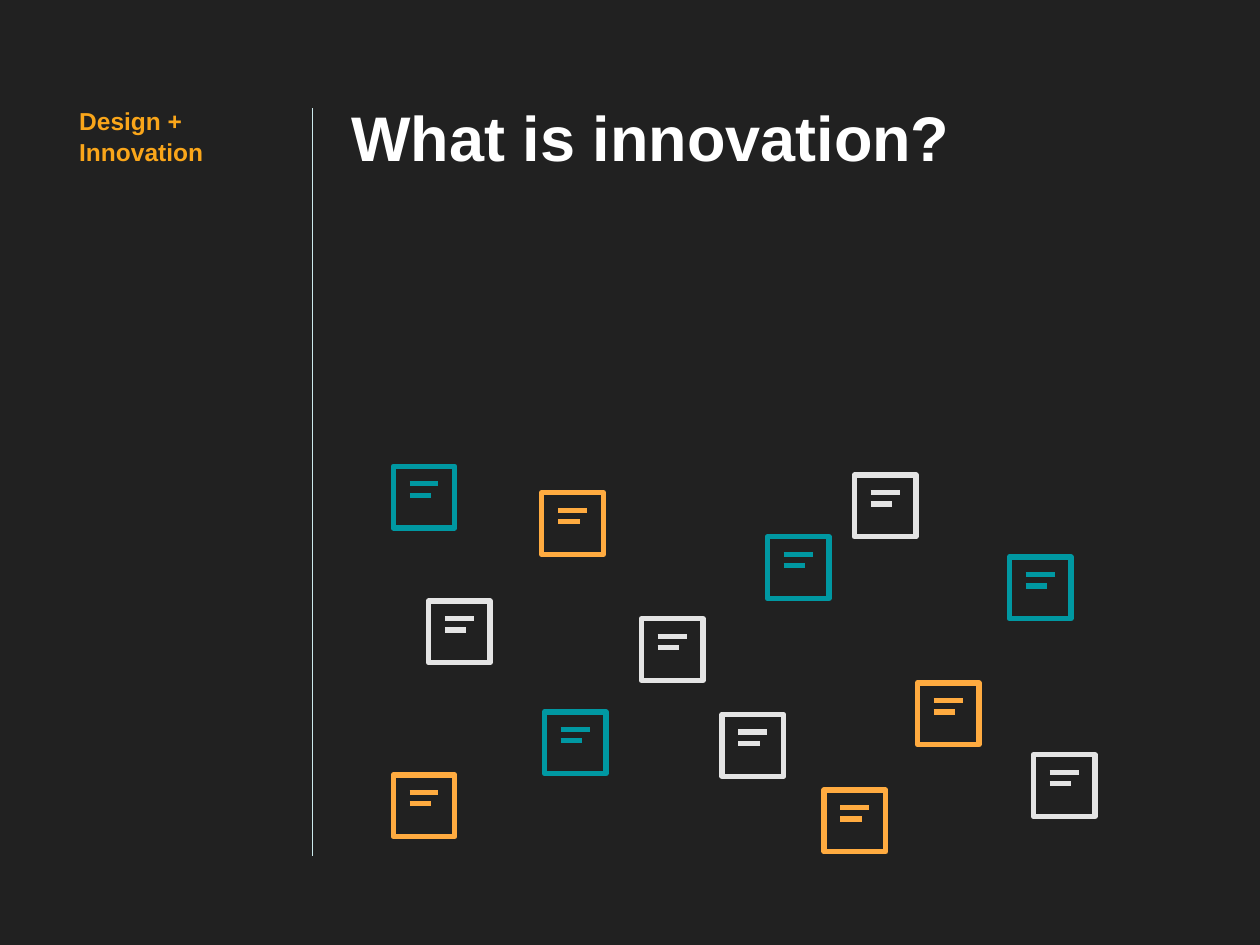
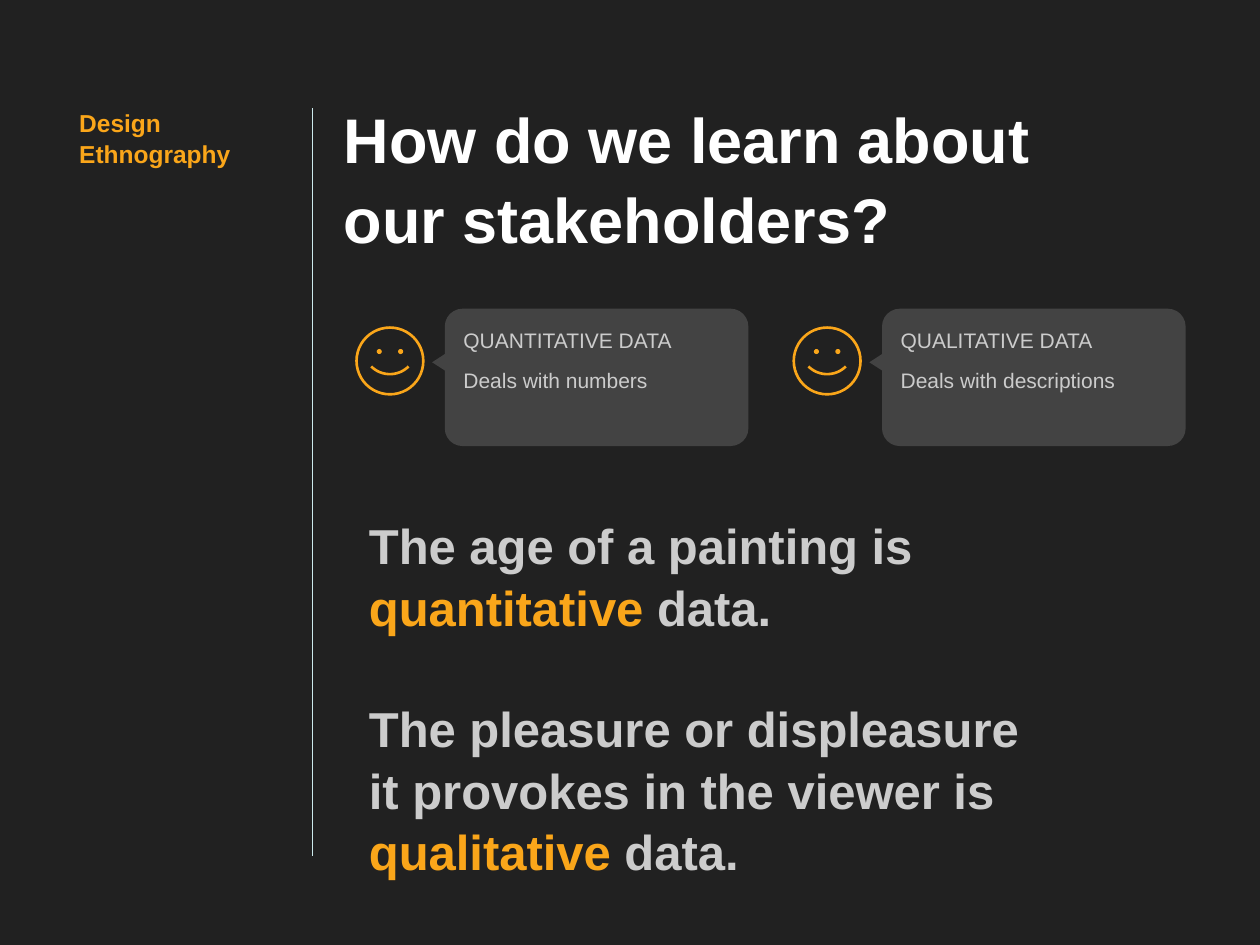
from math import cos, radians, sin

from lxml import etree
from pptx import Presentation
from pptx.dml.color import RGBColor
from pptx.enum.shapes import MSO_CONNECTOR, MSO_SHAPE
from pptx.enum.text import MSO_ANCHOR, MSO_AUTO_SIZE, PP_ALIGN
from pptx.oxml.ns import qn
from pptx.util import Inches, Pt

FONT = "Arial"
COLORS = {
    "background": "212121",
    "rule": "CCEAEC",
    "title": "FFFFFF",
    "accent": "FAA61A",
    "body": "CCCCCC",
    "bubble": "434343",
    "gray": "E4E4E4",
    "teal": "0098A2",
    "orange": "FFAB40",
}


def write_text(frame, paragraphs, size, bold=True, spacing=1.05, gap=0):
    """Fill a frame; each paragraph is a list of (text, color name) runs."""
    frame.word_wrap = True
    frame.auto_size = MSO_AUTO_SIZE.NONE
    frame.vertical_anchor = MSO_ANCHOR.TOP
    frame.margin_left = frame.margin_right = Inches(0.1)
    frame.margin_top = frame.margin_bottom = Inches(0.1)
    for index, runs in enumerate(paragraphs):
        paragraph = frame.add_paragraph() if index else frame.paragraphs[0]
        paragraph.alignment = PP_ALIGN.LEFT
        paragraph.line_spacing = spacing
        paragraph.space_before = Pt(gap if index else 0)
        for text, color in runs:
            for number, line in enumerate(text.split("\n")):
                if number:
                    paragraph.add_line_break()
                run = paragraph.add_run()
                run.text = line
                run.font.name = FONT
                run.font.size = Pt(size)
                run.font.bold = bold
                run.font.color.rgb = RGBColor.from_string(COLORS[color])


def add_line(shapes, x1, y1, x2, y2, color, width):
    line = shapes.add_connector(
        MSO_CONNECTOR.STRAIGHT, Inches(x1), Inches(y1), Inches(x2), Inches(y2))
    line.line.color.rgb = RGBColor.from_string(COLORS[color])
    line.line.width = Pt(width)
    etree.SubElement(line._element.spPr, qn("a:effectLst"))


prs = Presentation()
prs.slide_width, prs.slide_height = Inches(10), Inches(7.5)
backdrop = prs.slide_master.background.fill
backdrop.solid()
backdrop.fore_color.rgb = RGBColor.from_string(COLORS["background"])

# Shared frame: title, section label and vertical rule
pages = [
    ("What is innovation?", (2.69, 0.65, 6.97, 0.83),
     "Design + Innovation", 0.73),
    ("How do we learn about our stakeholders?", (2.63, 0.67, 6.17, 1.47),
     "Design\nEthnography", 0.75),
]
slides = []
for heading, heading_box, section, section_top in pages:
    slide = prs.slides.add_slide(prs.slide_layouts[5])
    title = slide.shapes.title
    title.left, title.top, title.width, title.height = map(Inches, heading_box)
    write_text(title.text_frame, [[(heading, "title")]], 36)
    label = slide.shapes.add_textbox(
        Inches(0.53), Inches(section_top), Inches(1.79), Inches(0.67))
    write_text(label.text_frame, [[(section, "accent")]], 14)
    add_line(slide.shapes, 2.48, 0.86, 2.48, 6.79, "rule", 0.75)
    slides.append(slide)
innovation, ethnography = slides

# Slide 1: scattered sticky notes, each with two lines of writing
notes = {
    "gray": [(3.4, 4.77), (6.78, 3.77), (5.73, 5.67), (8.2, 5.99), (5.09, 4.91)],
    "teal": [(8.01, 4.42), (6.09, 4.26), (4.32, 5.65), (3.12, 3.7)],
    "orange": [(7.28, 5.42), (6.54, 6.27), (3.12, 6.15), (4.3, 3.91)],
}
for color, corners in notes.items():
    for x, y in corners:
        note = innovation.shapes.add_group_shape().shapes
        border = note.add_shape(
            MSO_SHAPE.RECTANGLE, Inches(x), Inches(y), Inches(0.49), Inches(0.49))
        border.shadow.inherit = False
        border.fill.background()
        border.line.color.rgb = RGBColor.from_string(COLORS[color])
        border.line.width = Pt(3)
        for drop, length in [(0.14, 0.23), (0.23, 0.17)]:
            add_line(note, x + 0.13, y + drop, x + 0.13 + length, y + drop, color, 3)

# Slide 2: two smiling speakers with speech bubbles
speakers = [
    (2.83, "QUANTITATIVE DATA", "Deals with numbers"),
    (6.3, "QUALITATIVE DATA", "Deals with descriptions"),
]
# preset, offset from the speaker's left edge, top, width, height, fill, outline
speaker_parts = [
    (MSO_SHAPE.ISOSCELES_TRIANGLE, 0.56, 2.74, 0.35, 0.27, "bubble", None),
    (MSO_SHAPE.ROUNDED_RECTANGLE, 0.7, 2.45, 2.41, 1.09, "bubble", None),
    (MSO_SHAPE.OVAL, 0, 2.6, 0.53, 0.53, None, "accent"),
    (MSO_SHAPE.OVAL, 0.16, 2.77, 0.04, 0.04, "accent", None),
    (MSO_SHAPE.OVAL, 0.33, 2.77, 0.04, 0.04, "accent", None),
]
for left, term, meaning in speakers:
    speaker = ethnography.shapes.add_group_shape().shapes
    drawn = []
    for preset, dx, top, width, height, fill, outline in speaker_parts:
        part = speaker.add_shape(
            preset, Inches(left + dx), Inches(top), Inches(width), Inches(height))
        if preset == MSO_SHAPE.ISOSCELES_TRIANGLE:
            part.rotation = 270
        elif preset == MSO_SHAPE.ROUNDED_RECTANGLE:
            part.adjustments[0] = 0.129
        drawn.append((part, fill, outline))

    arc = [(Inches(left + 0.265 + 0.21 * cos(radians(angle))),
            Inches(2.76 + 0.21 * sin(radians(angle))))
           for angle in range(45, 136, 5)]
    smile = speaker.build_freeform(*arc[0])
    smile.add_line_segments(arc[1:], close=False)
    drawn.append((smile.convert_to_shape(), None, "accent"))

    for part, fill, outline in drawn:
        part.shadow.inherit = False
        if fill:
            part.fill.solid()
            part.fill.fore_color.rgb = RGBColor.from_string(COLORS[fill])
        else:
            part.fill.background()
        if outline:
            part.line.color.rgb = RGBColor.from_string(COLORS[outline])
            part.line.width = Pt(1.5)
        else:
            part.line.fill.background()

    speech = ethnography.shapes.add_textbox(
        Inches(left + 0.75), Inches(2.47), Inches(2.36), Inches(0.99))
    write_text(speech.text_frame, [[(term, "body")], [(meaning, "body")]],
               12, bold=False, spacing=1.15, gap=6)

examples = ethnography.shapes.add_textbox(
    Inches(2.83), Inches(3.97), Inches(6.9), Inches(3.11))
write_text(examples.text_frame, [
    [("The age of a painting is\n", "body"),
     ("quantitative ", "accent"), ("data.", "body")],
    [("The pleasure or displeasure\nit provokes in the viewer is\n", "body"),
     ("qualitative ", "accent"), ("data.", "body")],
], 28, gap=33.75)

prs.save("out.pptx")
